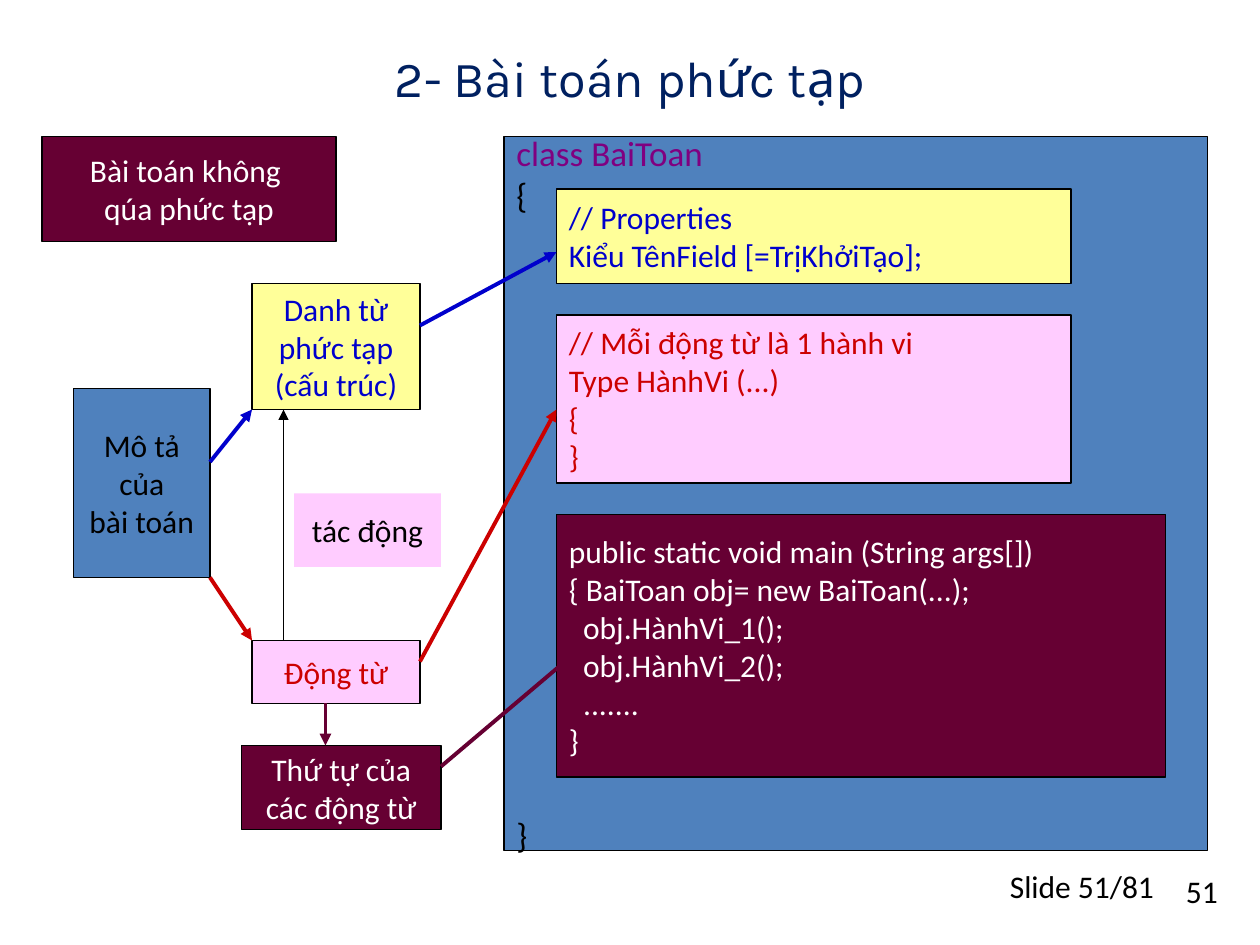
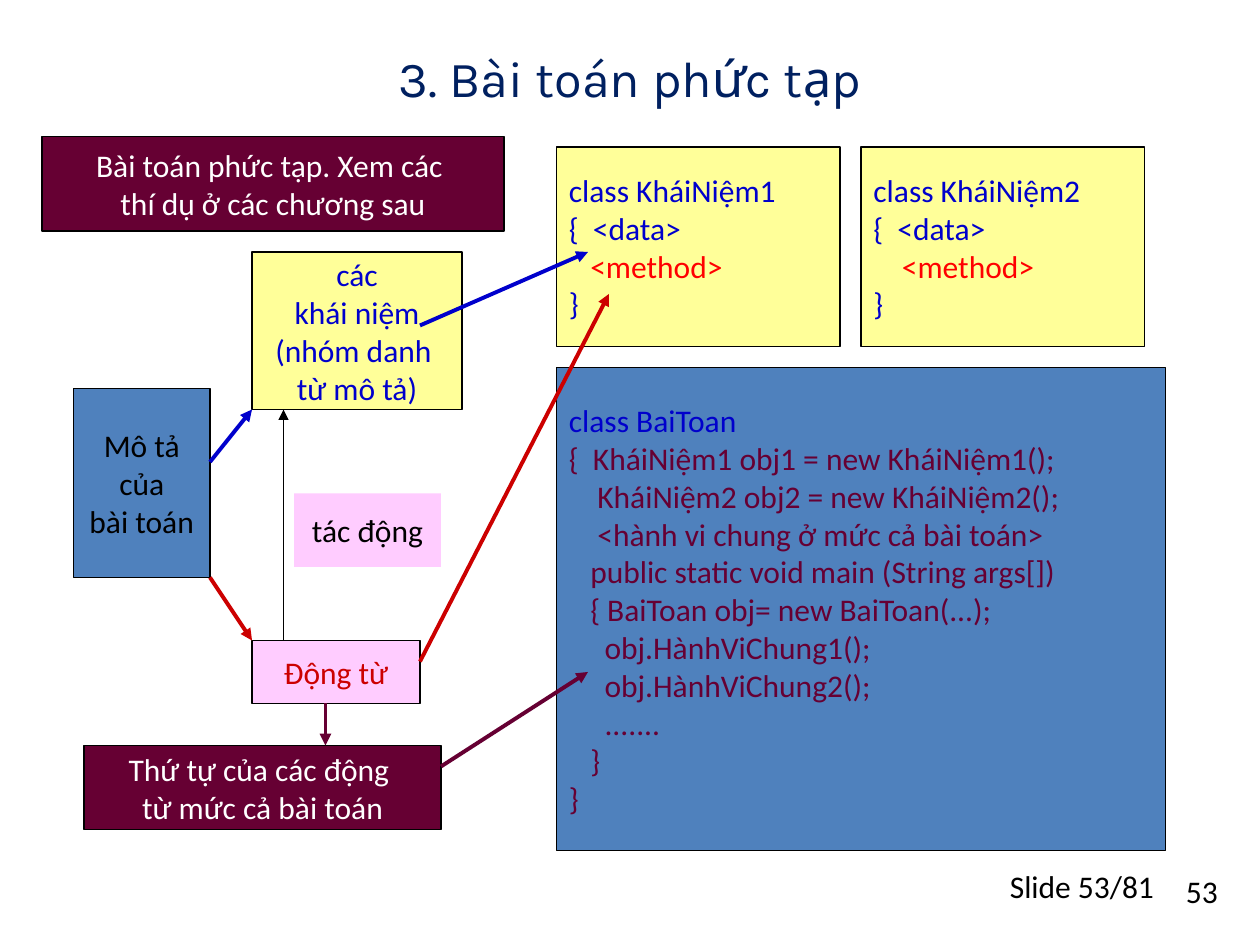
import pptx
import pptx.util
import pptx.dml.color
import pptx.enum.shapes
import pptx.enum.text
import pptx.oxml.ns
from dataclasses import dataclass
from lxml import etree

Pt = pptx.util.Pt
ALIGN = pptx.enum.text.PP_ALIGN
ANCHOR = pptx.enum.text.MSO_ANCHOR


@dataclass(frozen=True)
class Theme:
    face: str = "Calibri"
    head: str = "Karla"
    body: float = 18
    large: float = 20
    title: float = 28.8
    thin: float = 0.75
    thick: float = 2.25
    space: float = 4.07  # indent for one column of code
    navy: str = "002060"
    black: str = "000000"
    white: str = "FFFFFF"
    steel: str = "4F81BD"
    yellow: str = "FFFF99"
    pink: str = "FFCCFF"
    wine: str = "660033"
    blue: str = "0000CC"
    red: str = "CC0000"
    bright: str = "FF0000"
    purple: str = "800080"


T = Theme()


def rgb(code):
    return pptx.dml.color.RGBColor.from_string(code)


class Deck:
    def __init__(self, width, height):
        self.file = pptx.Presentation()
        self.file.slide_width, self.file.slide_height = Pt(width), Pt(height)
        self.slide = None

    def start(self, title, number, total):
        """Begin a slide with its title and footer."""
        self.slide = self.file.slides.add_slide(self.file.slide_layouts[6])
        self.label((568, 495, 135, 29), str(number), align=ALIGN.RIGHT)
        self.label((570, 492, 114, 37), f"Slide {number}/{total}")
        self.label((36, 21.6, 648, 44.64), title, T.navy, T.title, T.head,
                   ALIGN.CENTER, ANCHOR.MIDDLE)

    def put(self, frame, lines, color, size, face, align):
        """Fill a frame; a line is text or (text, colour)."""
        for i, line in enumerate(lines):
            text, tint = (line, color) if isinstance(line, str) else line
            para = frame.paragraphs[0] if i == 0 else frame.add_paragraph()
            bare = text.lstrip()
            para.text = bare
            para.alignment = align
            para.font.name, para.font.size = face, Pt(size)
            para.font.color.rgb = rgb(tint)
            # Leading spaces of code become a left indent
            depth = len(text) - len(bare)
            if depth:
                props = para._p.get_or_add_pPr()
                props.set("marL", str(Pt(depth * T.space)))
                props.set("indent", "0")

    def label(self, area, text, color=T.black, size=T.body, face=T.face,
              align=ALIGN.LEFT, anchor=ANCHOR.TOP):
        frame = self.slide.shapes.add_textbox(*map(Pt, area)).text_frame
        frame.word_wrap = True
        frame.vertical_anchor = anchor
        self.put(frame, [text], color, size, face, align)

    def box(self, area, lines, fill, color, size=T.body, align=ALIGN.CENTER,
            edge=True):
        shape = self.slide.shapes.add_shape(
            pptx.enum.shapes.MSO_SHAPE.RECTANGLE, *map(Pt, area))
        shape.shadow.inherit = False
        shape.fill.solid()
        shape.fill.fore_color.rgb = rgb(fill)
        if edge:
            shape.line.color.rgb = rgb(T.black)
            shape.line.width = Pt(T.thin)
        else:
            shape.line.fill.background()
        frame = shape.text_frame
        frame.word_wrap = False
        frame.vertical_anchor = ANCHOR.MIDDLE
        self.put(frame, lines, color, size, T.face, align)
        return frame

    def code(self, area, lines, fill, color, size=T.body):
        return self.box(area, lines, fill, color, size, ALIGN.LEFT)

    def arrow(self, start, end, color, width=T.thick):
        line = self.slide.shapes.add_connector(
            pptx.enum.shapes.MSO_CONNECTOR.STRAIGHT, *map(Pt, start + end))
        line.line.color.rgb = rgb(color)
        line.line.width = Pt(width)
        qn = pptx.oxml.ns.qn
        props = line._element.spPr
        etree.SubElement(props.find(qn("a:ln")), qn("a:tailEnd"),
                         type="triangle")
        etree.SubElement(props, qn("a:effectLst"))

    def flow(self, head, noun, order):
        """Left side: each argument is an area and its lines."""
        self.box((42, 222, 78, 108), ["Mô tả", "của", "bài toán"],
                 T.steel, T.black)
        self.box(*noun, T.yellow, T.blue)
        self.box((144, 366, 96, 36), ["Động từ"], T.pink, T.red)
        self.box((168, 282, 84, 42), ["tác động"], T.pink, T.black,
                 edge=False)
        self.box(*head, T.wine, T.white)
        self.box(*order, T.wine, T.white)
        self.arrow((120, 264), (144, 234), T.blue)
        self.arrow((120, 330), (144, 366), T.red)
        self.arrow((162, 366), (162, 234), T.black, T.thin)
        self.arrow((186, 402), (186, 426), T.wine)

    def links(self, order, noun, verb):
        """Arrows from the left side to points in the code."""
        self.arrow((252, 438), order, T.wine)
        self.arrow((240, 186), noun, T.blue)
        self.arrow((240, 378), verb, T.red)


deck = Deck(720, 540)

# Slide 51: one class
deck.start("2- Bài toán phức tạp", 51, 81)
deck.flow(
    ((24, 78, 168, 60), ["Bài toán không ", "qúa phức tạp"]),
    ((144, 162, 96, 72), ["Danh từ", "phức tạp", "(cấu trúc)"]),
    ((138, 426, 114, 48), ["Thứ tự của", "các động từ"]))
panel = deck.code((288, 78, 402, 408),
                  [("class BaiToan", T.purple), "{", "}"],
                  T.steel, T.black, T.large)
panel.paragraphs[-1].space_before = Pt(342)  # room for the three cards
deck.code((318, 108, 294, 54),
          ["// Properties", "Kiểu TênField [=TrịKhởiTạo];"],
          T.yellow, T.blue)
deck.code((318, 180, 294, 96),
          ["// Mỗi động từ là 1 hành vi", "Type HànhVi (...)", "{", "}"],
          T.pink, T.red)
deck.code((318, 294, 348, 150),
          ["public static void main (String args[])",
           "{ BaiToan obj= new BaiToan(...);",
           "  obj.HànhVi_1();", "  obj.HànhVi_2();", "  .......", "}"],
          T.wine, T.white)
deck.links((330, 372), (318, 144), (318, 234))

# Slide 53: several classes
deck.start("3. Bài toán phức tạp", 53, 81)
deck.flow(
    ((24, 78, 264, 54),
     ["Bài toán phức tạp. Xem các ", "thí dụ ở các chương sau"]),
    ((144, 144, 120, 90),
     ["các", "khái niệm", "(nhóm danh ", "từ mô tả)"]),
    ((48, 426, 204, 48),
     ["Thứ tự của các động ", "từ mức cả bài toán"]))
for i, method in enumerate(["   <method>", "    <method>"]):
    deck.code((318 + 174 * i, 84, 162, 114),
              [f"class KháiNiệm{i + 1}", "{  <data>", (method, T.bright), "}"],
              T.yellow, T.blue)
deck.code((318, 210, 348, 276),
          [("class BaiToan", T.blue),
           "{  KháiNiệm1 obj1 = new KháiNiệm1();",
           "    KháiNiệm2 obj2 = new KháiNiệm2();",
           "    <hành vi chung ở mức cả bài toán>",
           "   public static void main (String args[])",
           "   { BaiToan obj= new BaiToan(...);",
           "     obj.HànhViChung1();", "     obj.HànhViChung2();",
           "     .......", "   }", "}"],
          T.steel, T.wine)
deck.links((336, 384), (336, 144), (348, 168))

deck.file.save("out.pptx")
